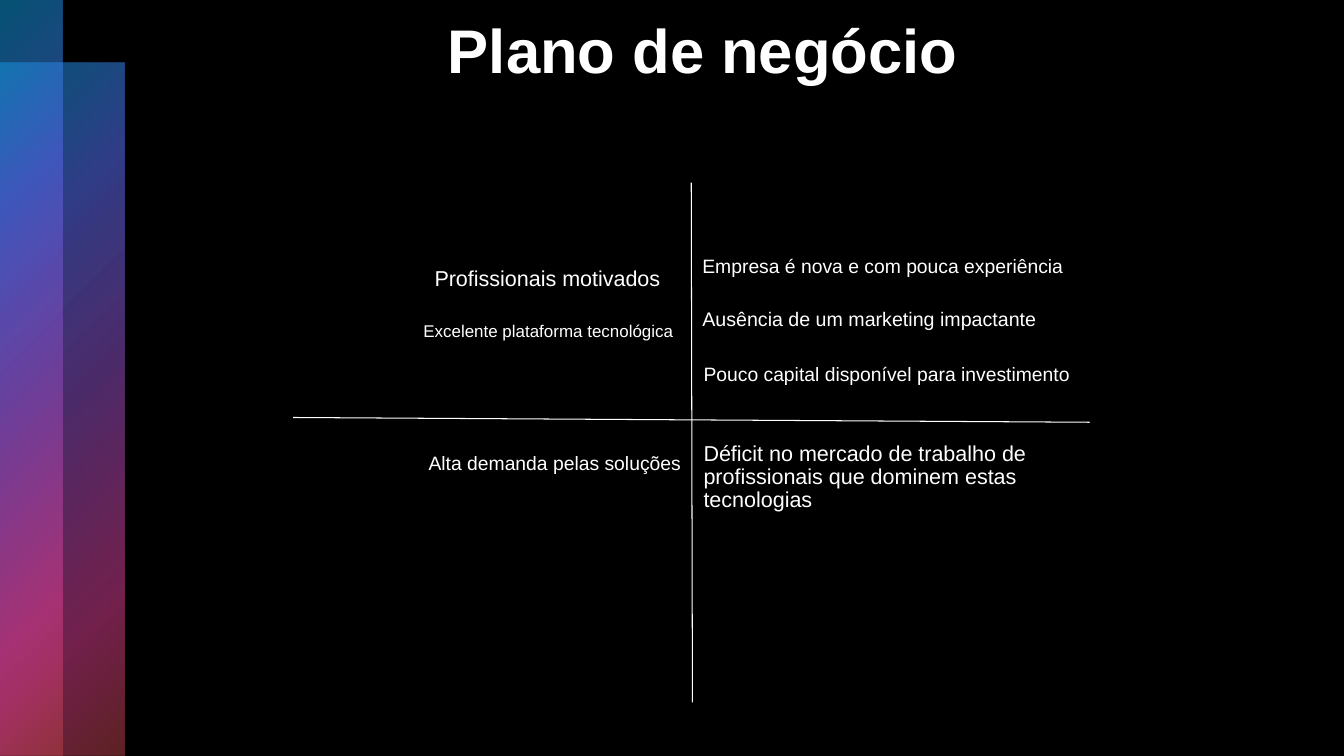
from lxml.etree import SubElement
from pptx import Presentation
from pptx.dml.color import RGBColor
from pptx.enum.shapes import MSO_CONNECTOR, MSO_SHAPE
from pptx.enum.text import MSO_ANCHOR, MSO_AUTO_SIZE, PP_ALIGN
from pptx.oxml import parse_xml
from pptx.oxml.ns import nsdecls, qn
from pptx.util import Cm, Pt

BLACK = RGBColor(0x00, 0x00, 0x00)
WHITE = RGBColor(0xFF, 0xFF, 0xFF)
BLUE = RGBColor(0x0B, 0xA5, 0xE8)
INDIGO = RGBColor(0x50, 0x66, 0xE1)
PURPLE = RGBColor(0x89, 0x4E, 0xC0)
PINK = RGBColor(0xE5, 0x41, 0x96)
RED = RGBColor(0xBE, 0x44, 0x49)
# position in %, colour, opacity in %
GRADIENT = [(0, BLUE, 50), (25, INDIGO, 60), (50, PURPLE, 55),
            (81, PINK, 50), (99, RED, 50), (100, RED, 50)]
FONT = "Arial"

# Each quadrant's first note fills a placeholder:
# placeholder index, text, (left, top, width, height) in cm, size, line spacing
LEADING_NOTES = [
    (1, "Profissionais motivados", (10.31, 6.48, 7.09, 1.27), 15.4, 1.1),
    (2, "Empresa é nova e com pouca experiência",
     (17.45, 6.22, 10.69, 1.27), 13.8, 1.1),
    (3, "Alta demanda pelas soluções", (10.16, 11.18, 7.37, 1.27), 13.8, 1.1),
    (4, "Déficit no mercado de trabalho de profissionais que dominem estas "
        "tecnologias", (17.48, 11.02, 11.15, 2.01), 15.4, 0.9),
]
# text, box in cm, size, line spacing, top inset in cm
FURTHER_NOTES = [
    ("Excelente plataforma tecnológica",
     (10.03, 7.9, 7.37, 1.27), 12.1, 1.1, 0.13),
    ("Ausência de um marketing impactante",
     (17.45, 7.49, 15.88, 1.12), 14, 1.0, 0.25),
    ("Pouco capital disponível para investimento",
     (17.48, 8.94, 10.69, 1.27), 13.8, 1.1, 0.13),
]
AXIS_X = 17.42


def place(shape, box):
    shape.left, shape.top, shape.width, shape.height = map(Cm, box)


def write_text(shape, text, size, bold=False, alignment=PP_ALIGN.LEFT,
               line_spacing=1.0, top_inset=0.13, hanging=False):
    text_frame = shape.text_frame
    text_frame.word_wrap = True
    text_frame.auto_size = MSO_AUTO_SIZE.NONE
    text_frame.vertical_anchor = MSO_ANCHOR.TOP
    text_frame.margin_left = text_frame.margin_right = Cm(0.25)
    text_frame.margin_top = text_frame.margin_bottom = Cm(top_inset)
    text_frame.text = text
    paragraph = text_frame.paragraphs[0]
    paragraph.alignment = alignment
    paragraph.line_spacing = line_spacing
    paragraph.space_before = Pt(0)
    properties = paragraph._p.get_or_add_pPr()
    properties.set("marL", str(Cm(0.64) if hanging else 0))
    properties.set("indent", str(Cm(-0.25) if hanging else 0))
    SubElement(properties, qn("a:buNone"))
    font = paragraph.runs[0].font
    font.name = FONT
    font.size = Pt(size)
    font.bold = bold
    font.color.rgb = WHITE


def add_gradient_band(slide, box):
    """Add a side band shaded radially from its top left corner."""
    band = slide.shapes.add_shape(MSO_SHAPE.RECTANGLE, *map(Cm, box))
    band.shadow.inherit = False
    band.line.fill.background()
    stops = "".join(
        f'<a:gs pos="{position * 1000}"><a:srgbClr val="{colour}">'
        f'<a:alpha val="{opacity * 1000}"/></a:srgbClr></a:gs>'
        for position, colour, opacity in GRADIENT)
    gradient = parse_xml(
        f'<a:gradFill {nsdecls("a")} rotWithShape="1"><a:gsLst>{stops}</a:gsLst>'
        '<a:path path="circle"><a:fillToRect r="100000" b="100000"/></a:path>'
        '</a:gradFill>')
    band._element.spPr.find(qn("a:prstGeom")).addnext(gradient)


def add_axis(slide, *ends):
    axis = slide.shapes.add_connector(MSO_CONNECTOR.STRAIGHT, *map(Cm, ends))
    axis.line.color.rgb = WHITE
    axis.line.width = Pt(0.75)
    SubElement(axis._element.spPr, qn("a:effectLst"))


def add_notes(slide):
    for index, text, box, size, line_spacing in LEADING_NOTES:
        placeholder = slide.placeholders[index]
        place(placeholder, box)
        write_text(placeholder, text, size, line_spacing=line_spacing,
                   hanging=box[0] < AXIS_X)
    for text, box, size, line_spacing, top_inset in FURTHER_NOTES:
        text_box = slide.shapes.add_textbox(*map(Cm, box))
        write_text(text_box, text, size, line_spacing=line_spacing,
                   top_inset=top_inset, hanging=box[0] < AXIS_X)


def main():
    presentation = Presentation()
    presentation.slide_width = Cm(33.87)
    presentation.slide_height = Cm(19.05)
    comparison_layout = presentation.slide_layouts[4]
    slide = presentation.slides.add_slide(comparison_layout)
    slide.background.fill.solid()
    slide.background.fill.fore_color.rgb = BLACK

    add_gradient_band(slide, (0, 1.57, 3.15, 17.48))
    add_gradient_band(slide, (0, 0, 1.57, 19.05))
    title = slide.shapes.title
    place(title, (4.55, 0.18, 26.34, 4.32))
    write_text(title, "Plano de negócio", 44, bold=True,
               alignment=PP_ALIGN.CENTER)
    add_axis(slide, AXIS_X, 4.6, 17.45, 17.7)
    add_axis(slide, 7.39, 10.52, 27.46, 10.64)
    add_notes(slide)
    presentation.save("out.pptx")


if __name__ == "__main__":
    main()
